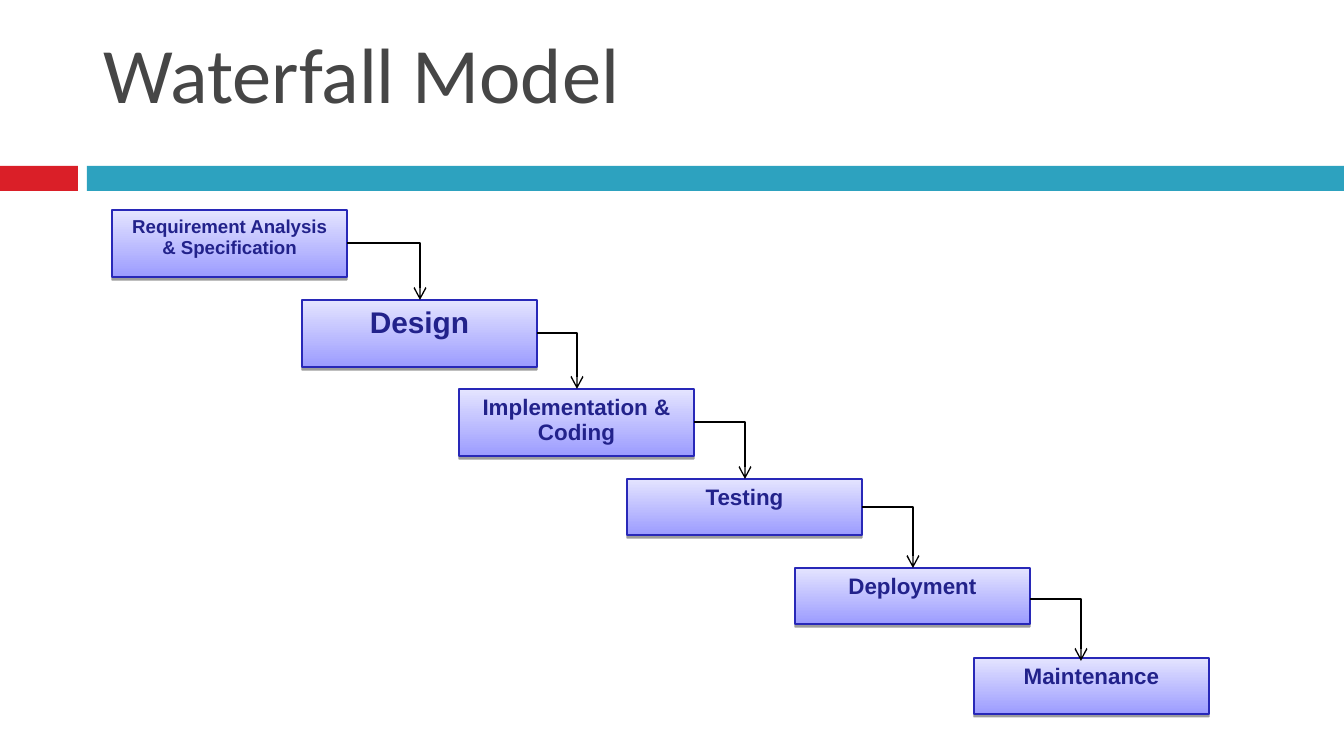
import pptx
import pptx.dml.color
import pptx.enum.dml
import pptx.enum.shapes
import pptx.enum.text
import pptx.oxml
import pptx.oxml.ns
import pptx.util

PX = 914400 / 134.4
COLORS = {
    "title": "464646",
    "red": "DA1F28",
    "teal": "2DA2BF",
    "step_bottom": "9C9CFF",
    "step_top": "E4E4FF",
    "step_line": "2828B8",
    "step_text": "22228B",
    "arrow": "000000",
}
SHADOW = (
    '<a:effectLst %s><a:outerShdw dist="20320" dir="5400000" algn="ctr" rotWithShape="0">'
    '<a:srgbClr val="000000"><a:alpha val="38000"/></a:srgbClr>'
    "</a:outerShdw></a:effectLst>" % pptx.oxml.ns.nsdecls("a")
)
ALIGN = pptx.enum.text.PP_ALIGN
RECTANGLE = pptx.enum.shapes.MSO_SHAPE.RECTANGLE


def px(*lengths):
    """Turn pixel lengths into EMU."""
    return [pptx.util.Emu(round(length * PX)) for length in lengths]


def write(shape, text, *, size, font, color, bold=False, align=ALIGN.LEFT, spacing=1.0):
    frame = shape.text_frame
    frame.word_wrap = True
    frame.auto_size = pptx.enum.text.MSO_AUTO_SIZE.NONE
    frame.vertical_anchor = pptx.enum.text.MSO_ANCHOR.TOP
    para = frame.paragraphs[0]
    para.alignment = align
    para.line_spacing = spacing
    span = para.add_run()
    span.text = text
    span.font.size = pptx.util.Pt(size)
    span.font.name = font
    span.font.bold = bold
    span.font.color.rgb = pptx.dml.color.RGBColor.from_string(COLORS[color])


deck = pptx.Presentation()
deck.slide_width, deck.slide_height = px(1344, 756)
page = deck.slides.add_slide(deck.slide_layouts[5])

# Title and the band below it
title = page.shapes.title
title.left, title.top, title.width, title.height = px(90, 18, 1199, 148)
write(title, "Waterfall Model", size=42, font="Calibri", color="title")

for left, width, color in [(0, 78, "red"), (87, 1257, "teal")]:
    bar = page.shapes.add_shape(RECTANGLE, *px(left, 166, width, 25))
    bar.shadow.inherit = False
    bar.fill.solid()
    bar.fill.fore_color.rgb = pptx.dml.color.RGBColor.from_string(COLORS[color])
    bar.line.fill.background()

# Steps of the waterfall: left, height, text size, name
steps = [
    (112, 67, 10, "Requirement Analysis & Specification"),
    (302, 67, 16, "Design"),
    (459, 67, 12, "Implementation & Coding"),
    (627, 56, 12, "Testing"),
    (795, 56, 12, "Deployment"),
    (974, 56, 12, "Maintenance"),
]
STEP_WIDTH = 235
tops = [round(210 + 89.6 * row) for row in range(len(steps))]

for (left, height, size, name), top in zip(steps, tops):
    box = page.shapes.add_shape(RECTANGLE, *px(left, top, STEP_WIDTH, height))
    box.fill.gradient()
    box.fill.gradient_angle = 90
    for stop, color in zip(box.fill.gradient_stops, ("step_bottom", "step_top")):
        stop.color.rgb = pptx.dml.color.RGBColor.from_string(COLORS[color])
    box.line.color.rgb = pptx.dml.color.RGBColor.from_string(COLORS["step_line"])
    box.line.width = pptx.util.Pt(0.75)
    box._element.spPr.append(pptx.oxml.parse_xml(SHADOW))
    write(box, name, size=size, font="Arial", color="step_text",
          bold=True, align=ALIGN.CENTER, spacing=0.93)

# Arrows from the right side of each step to the top of the next
for row, (left, height, _, _) in enumerate(steps[:-1]):
    start_x, start_y = left + STEP_WIDTH, tops[row] + height // 2
    end_x, end_y = steps[row + 1][0] + STEP_WIDTH // 2 + 1, tops[row + 1]
    if row == len(steps) - 2:  # the last arrow sits left of centre and a little lower
        end_x, start_y, end_y = end_x - 11, start_y + 3, end_y + 3
    arrow = page.shapes.add_connector(
        pptx.enum.shapes.MSO_CONNECTOR.ELBOW, *px(start_x, start_y, end_x, end_y))
    arrow.line.color.rgb = pptx.dml.color.RGBColor.from_string(COLORS["arrow"])
    arrow.line.width = pptx.util.Pt(0.75)
    properties = arrow._element.spPr
    properties.find(pptx.oxml.ns.qn("a:prstGeom")).set("prst", "bentConnector2")
    line = properties.find(pptx.oxml.ns.qn("a:ln"))
    line.append(pptx.oxml.parse_xml(
        '<a:tailEnd %s type="arrow"/>' % pptx.oxml.ns.nsdecls("a")))
    properties.append(pptx.oxml.parse_xml(
        "<a:effectLst %s/>" % pptx.oxml.ns.nsdecls("a")))

deck.save("out.pptx")
